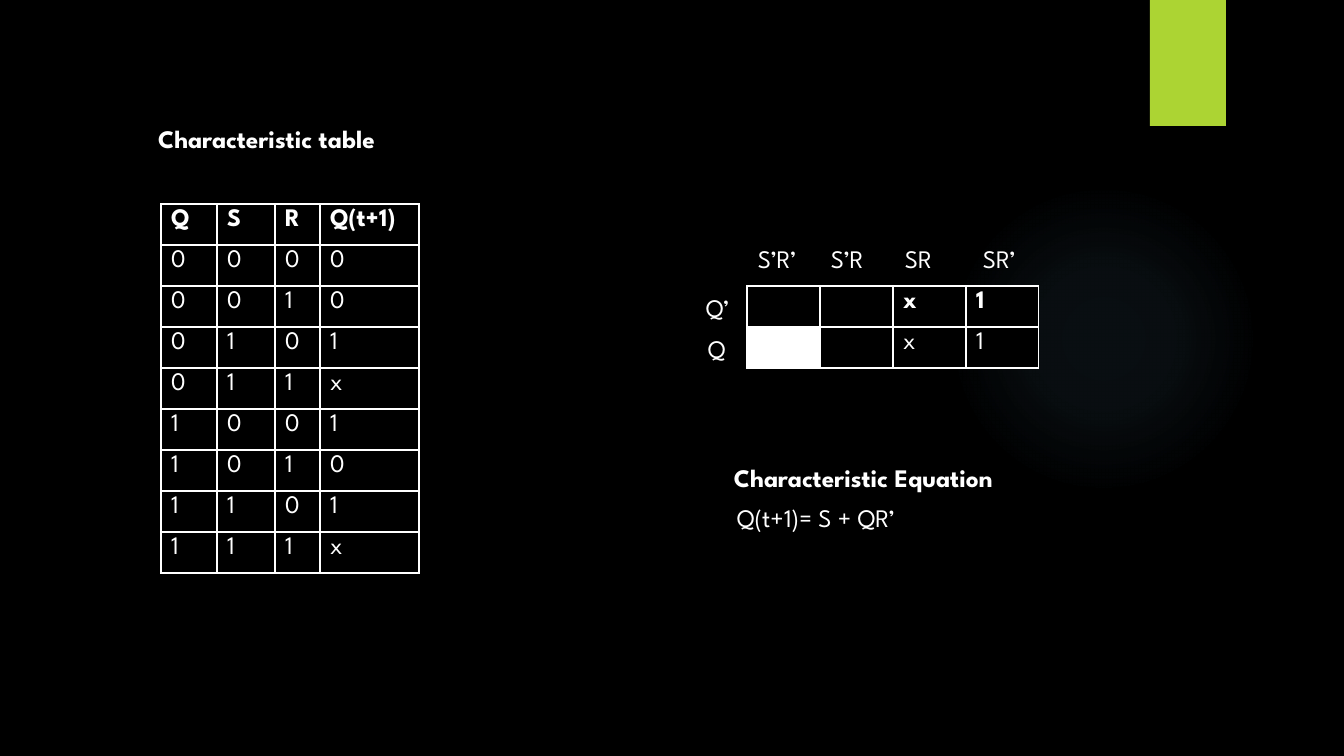
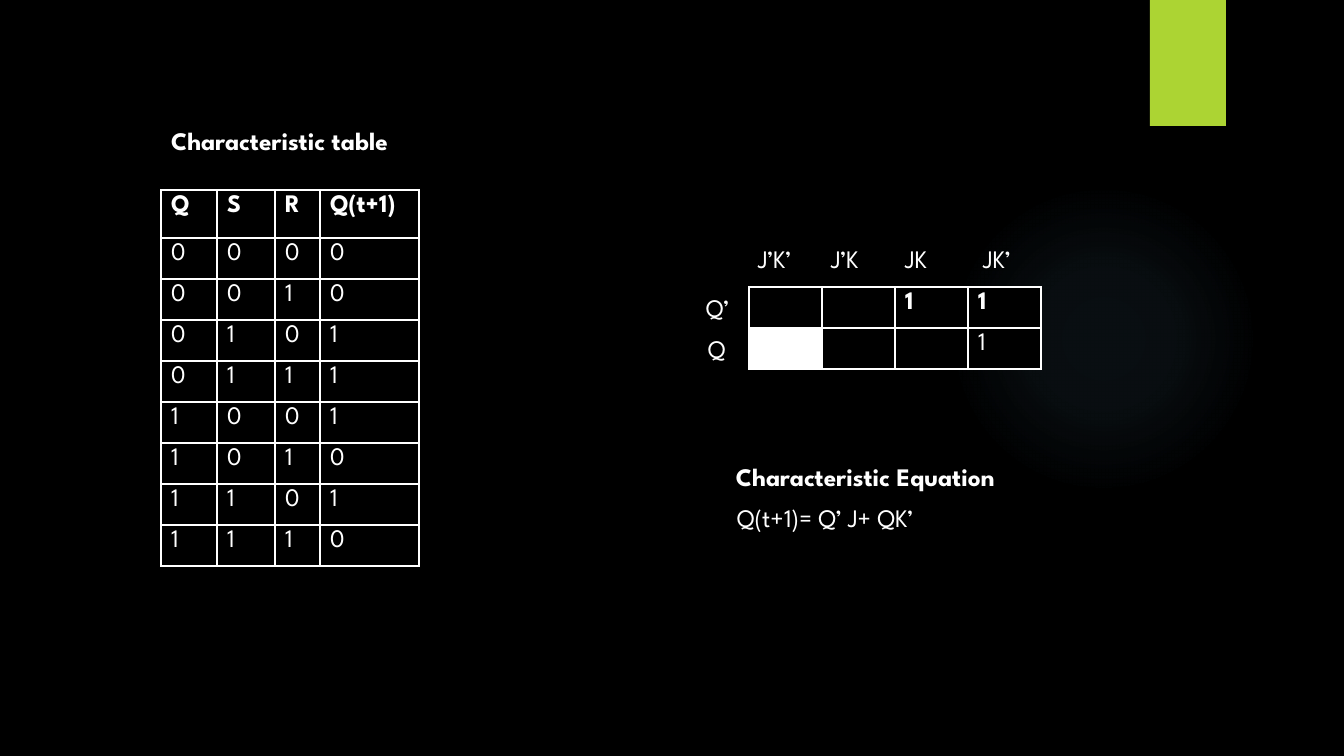
import pptx
import pptx.util
import pptx.dml.color
import pptx.enum.shapes
import pptx.enum.text
import pptx.oxml
import pptx.oxml.ns

# Content
SLIDES = [
    {
        "title": (148, 118),
        "table_top": 204,
        "header_height": 41,
        "next_states": "0 0 1 x 1 0 1 x".split(),
        "map_at": (747, 286),
        "map_labels": ["S’R’", "S’R", "SR", "SR’"],
        "map_rows": [["", "", "x", "1"], ["", "", "x", "1"]],
        "heading": (724, 457),
        "equation": "Q(t+1)= S + QR’",
    },
    {
        "title": (161, 120),
        "table_top": 190,
        "header_height": 48,
        "next_states": "0 0 1 1 1 0 1 0".split(),
        "map_at": (749, 287),
        "map_labels": ["J’K’", "J’K", "JK", "JK’"],
        "map_rows": [["", "", "1", "1"], ["", "", "", "1"]],
        "heading": (726, 456),
        "equation": "Q(t+1)= Q’ J+ QK’",
    },
]
TABLE_HEADER = ["Q", "S", "R", "Q(t+1)"]
MAP_ROW_LABELS = [("Q’", 696, 287), ("Q", 698, 328)]

# Shared style, lengths in px
COLORS = {"back": "000000", "text": "FFFFFF", "tab": "ACD433", "glow": "7AC4F0"}
FONT = "League Spartan"
SCALE = 914400 / 100.8
ROW_HEIGHT = 41
TABLE_LEFT = 161
TABLE_COLUMNS = [56, 58, 45, 99]
MAP_COLUMNS = [73] * 4
MAP_LABEL_LEFTS = [748, 821, 895, 973]
GLOW_STOPS = [(0, 7), (36, 6), (69, 0)]  # position and opacity in percent


def px(*lengths):
    return [pptx.util.Emu(round(length * SCALE)) for length in lengths]


def color(name):
    return pptx.dml.color.RGBColor.from_string(COLORS[name])


def xml(text):
    return pptx.oxml.parse_xml(text.replace(">", f" {pptx.oxml.ns.nsdecls('a')}>", 1))


def write(frame, text, bold=False):
    para = frame.paragraphs[0]
    para.text = text
    para.alignment = pptx.enum.text.PP_ALIGN.LEFT
    font = para.font
    font.name, font.size, font.bold = FONT, pptx.util.Pt(18), bold
    font.color.rgb = color("text")


def add_label(page, text, left, top, width, bold=False):
    box = page.shapes.add_textbox(*px(left, top, width, 40))
    box.text_frame.word_wrap = True
    write(box.text_frame, text, bold)


def set_title(page, text, left, top):
    title = page.shapes.title
    title.left, title.top, title.width, title.height = px(left, top, 290, 40)
    frame = title.text_frame
    frame.auto_size = pptx.enum.text.MSO_AUTO_SIZE.NONE
    frame.vertical_anchor = pptx.enum.text.MSO_ANCHOR.TOP
    write(frame, text, bold=True)


def add_borders(cell):
    properties = cell._tc.get_or_add_tcPr()
    for index, side in enumerate(["lnL", "lnR", "lnT", "lnB"]):
        properties.insert(index, xml(
            f'<a:{side} w="12700"><a:solidFill><a:srgbClr val="{COLORS["text"]}"/>'
            f'</a:solidFill></a:{side}>'))


def add_grid(page, rows, left, top, columns, heights):
    """Bordered table whose first row is bold."""
    grid = page.shapes.add_table(
        len(rows), len(columns), *px(left, top, sum(columns), sum(heights))).table
    grid.first_row = grid.horz_banding = False
    for column, width in zip(grid.columns, px(*columns)):
        column.width = width
    for row, height in zip(grid.rows, px(*heights)):
        row.height = height
    for r, values in enumerate(rows):
        for c, value in enumerate(values):
            cell = grid.cell(r, c)
            cell.fill.solid()
            cell.fill.fore_color.rgb = color("back")
            add_borders(cell)
            write(cell.text_frame, value, bold=r == 0)
    return grid


def decorate(layout, page):
    """Give the layout its background, glow and corner tab, drawn by way of a page."""
    layout.background.fill.solid()
    layout.background.fill.fore_color.rgb = color("back")

    kinds = pptx.enum.shapes.MSO_SHAPE
    glow = page.shapes.add_shape(kinds.OVAL, *px(949, 184, 310, 310))
    tab = page.shapes.add_shape(kinds.RECTANGLE, *px(1150, 0, 76, 126))
    for shape in (glow, tab):
        shape.line.fill.background()
        shape.shadow.inherit = False

    stops = "".join(
        f'<a:gs pos="{position * 1000}"><a:srgbClr val="{COLORS["glow"]}">'
        f'<a:alpha val="{opacity * 1000}"/></a:srgbClr></a:gs>'
        for position, opacity in GLOW_STOPS)
    glow.fill.background()
    properties = glow.element.spPr
    properties.replace(properties.find(pptx.oxml.ns.qn("a:noFill")), xml(
        f'<a:gradFill><a:gsLst>{stops}</a:gsLst><a:path path="circle">'
        '<a:fillToRect l="50000" t="50000" r="50000" b="50000"/></a:path></a:gradFill>'))

    tab.fill.solid()
    tab.fill.fore_color.rgb = color("tab")
    tab.element.spPr.find(pptx.oxml.ns.qn("a:effectLst")).append(xml(
        '<a:outerShdw blurRad="38100" dist="25400" dir="5400000">'
        '<a:srgbClr val="000000"><a:alpha val="45000"/></a:srgbClr></a:outerShdw>'))

    for index, shape in enumerate((glow, tab), start=2):
        layout.shapes.element.insert(index, shape.element)


def fill_page(page, content):
    set_title(page, "Characteristic table", *content["title"])

    # Truth table: inputs count up in binary
    states = content["next_states"]
    rows = [TABLE_HEADER] + [[*f"{n:03b}", state] for n, state in enumerate(states)]
    heights = [content["header_height"]] + [ROW_HEIGHT] * len(states)
    add_grid(page, rows, TABLE_LEFT, content["table_top"], TABLE_COLUMNS, heights)

    # Karnaugh map with its labels
    karnaugh = add_grid(page, content["map_rows"], *content["map_at"],
                        MAP_COLUMNS, [ROW_HEIGHT] * 2)
    karnaugh.cell(1, 0).fill.fore_color.rgb = color("text")
    for text, left, top in MAP_ROW_LABELS:
        add_label(page, text, left, top, 60)
    for text, left in zip(content["map_labels"], MAP_LABEL_LEFTS):
        add_label(page, text, left, 238, 67)

    # Equation
    add_label(page, "Characteristic Equation", *content["heading"], 340, bold=True)
    add_label(page, content["equation"], 727, 497, 322)


def main():
    deck = pptx.Presentation()
    deck.slide_width, deck.slide_height = px(1344, 756)
    layout = deck.slide_layouts.get_by_name("Title Only")
    pages = [deck.slides.add_slide(layout) for _ in SLIDES]
    decorate(layout, pages[0])
    for page, content in zip(pages, SLIDES):
        fill_page(page, content)
    deck.save("out.pptx")


if __name__ == "__main__":
    main()
